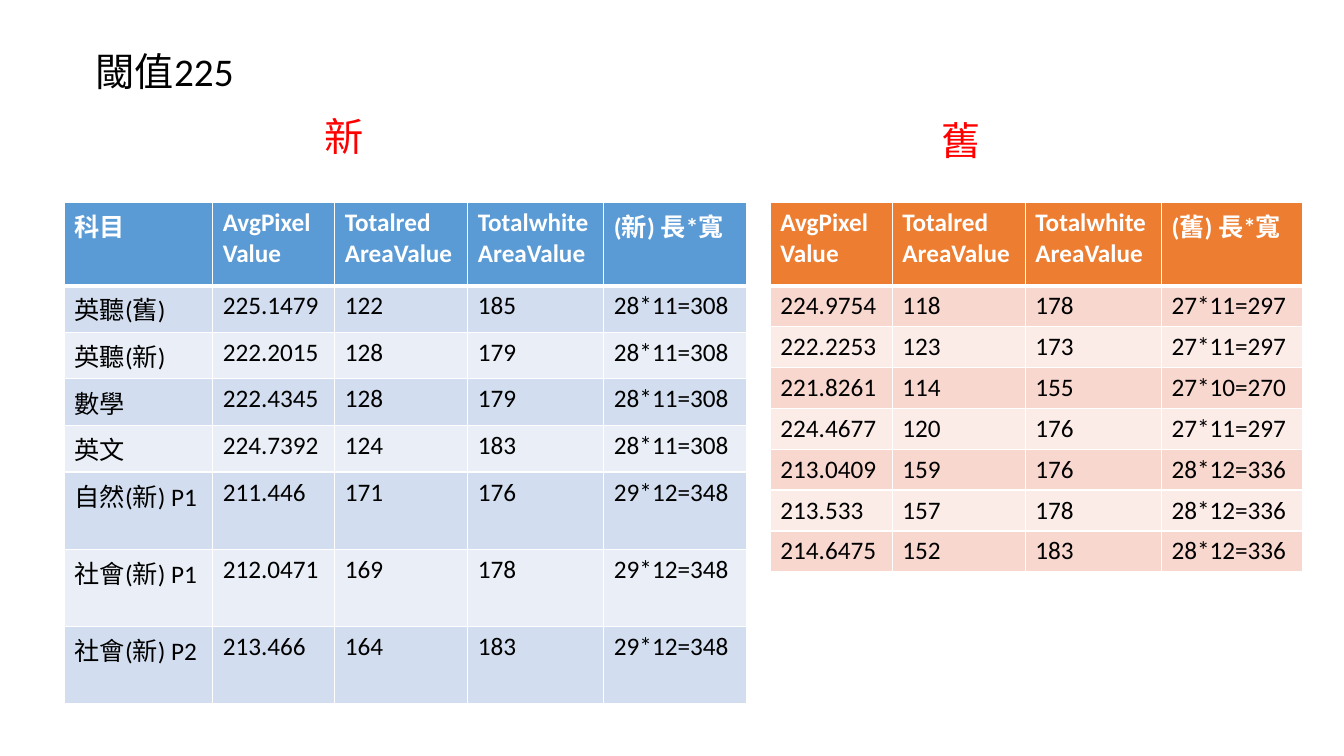
from lxml.etree import SubElement
from pptx import Presentation
from pptx.dml.color import RGBColor
from pptx.enum.lang import MSO_LANGUAGE_ID
from pptx.enum.text import MSO_ANCHOR, MSO_AUTO_SIZE, PP_ALIGN
from pptx.oxml.ns import qn
from pptx.util import Inches, Pt

COLORS = {
    "white": "FFFFFF", "black": "000000", "red": "FF0000",
    "blue": "5B9BD5", "blue_dark": "D2DEEF", "blue_light": "EAEFF7",
    "orange": "ED7D31", "orange_dark": "F8D7CE", "orange_light": "FCECE8",
}
FONT = "Calibri"

NEW_WIDTHS = [1.47, 1.21, 1.32, 1.35, 1.42]
NEW_ROWS = [
    ["科目", "AvgPixel\vValue", "Totalred\nAreaValue", "Totalwhite\vAreaValue", "(新) 長*寬"],
    ["英聽(舊)", "225.1479", "122", "185", "28*11=308"],
    ["英聽(新)", "222.2015", "128", "179", "28*11=308"],
    ["數學", "222.4345", "128", "179", "28*11=308"],
    ["英文", "224.7392", "124", "183", "28*11=308"],
    ["自然(新) P1", "211.446", "171", "176", "29*12=348"],
    ["社會(新) P1", "212.0471", "169", "178", "29*12=348"],
    ["社會(新) P2", "213.466", "164", "183", "29*12=348"],
]
OLD_WIDTHS = [1.21, 1.32, 1.35, 1.4]
OLD_ROWS = [
    ["AvgPixel\vValue", "Totalred\vAreaValue", "Totalwhite\vAreaValue", "(舊) 長*寬"],
    ["224.9754", "118", "178", "27*11=297"],
    ["222.2253", "123", "173", "27*11=297"],
    ["221.8261", "114", "155", "27*10=270"],
    ["224.4677", "120", "176", "27*11=297"],
    ["213.0409", "159", "176", "28*12=336"],
    ["213.533", "157", "178", "28*12=336"],
    ["214.6475", "152", "183", "28*12=336"],
]


def rgb(name):
    return RGBColor.from_string(COLORS[name])


def format_runs(tf, size, color, bold=False):
    for p in tf.paragraphs:
        for r in p.runs:
            r.font.name = FONT
            r.font.size = Pt(size)
            r.font.bold = bold
            r.font.color.rgb = rgb(color)
            r.font.language_id = MSO_LANGUAGE_ID.TRADITIONAL_CHINESE


def set_borders(cell, bottom):
    """White cell borders; they must come before the fill in the XML."""
    tc_pr = cell._tc.get_or_add_tcPr()
    for side, width in (("L", 1), ("R", 1), ("T", 1), ("B", bottom)):
        ln = SubElement(tc_pr, qn(f"a:ln{side}"), w=str(Pt(width)))
        fill = SubElement(ln, qn("a:solidFill"))
        SubElement(fill, qn("a:srgbClr"), val=COLORS["white"])


def add_values(slide, left, widths, rows, hue):
    frame = slide.shapes.add_table(len(rows), len(widths), Inches(left), Inches(2.01),
                                   Inches(sum(widths)), Inches(3.5))
    table = frame.table
    for column, width in zip(table.columns, widths):
        column.width = Inches(width)
    for i, values in enumerate(rows):
        table.rows[i].height = Inches(0.36)
        header = i == 0
        fill = hue if header else hue + ("_dark" if i % 2 else "_light")
        for j, value in enumerate(values):
            cell = table.cell(i, j)
            cell.text_frame.text = value
            format_runs(cell.text_frame, 18, "white" if header else "black", header)
            # The row above the header rule carries the thick line
            set_borders(cell, 3 if header else 1)
            cell.fill.solid()
            cell.fill.fore_color.rgb = rgb(fill)
    frame.height = Inches(3.5)
    return table


def format_heading(sp, text, left, top, color):
    sp.left, sp.top = Inches(left), Inches(top)
    sp.width, sp.height = Inches(2.68), Inches(0.64)
    tf = sp.text_frame
    tf.text = text
    tf.word_wrap = True
    tf.auto_size = MSO_AUTO_SIZE.NONE
    tf.vertical_anchor = MSO_ANCHOR.TOP
    p = tf.paragraphs[0]
    p.alignment = PP_ALIGN.LEFT
    p.line_spacing = 0.9
    p.space_before = Pt(10)
    format_runs(tf, 28, color)


def add_label(slide, text, left, top):
    sp = slide.shapes.add_textbox(0, 0, 0, 0)
    format_heading(sp, text, left, top, "red")


def main():
    prs = Presentation()
    prs.slide_width, prs.slide_height = Inches(13.33), Inches(7.5)
    slide = prs.slides.add_slide(prs.slide_layouts[5])

    # Tables of new and old values
    new_table = add_values(slide, 0.64, NEW_WIDTHS, NEW_ROWS, "blue")
    for i in range(1, 4):
        new_table.cell(i, 0).vertical_anchor = MSO_ANCHOR.MIDDLE
    add_values(slide, 7.64, OLD_WIDTHS, OLD_ROWS, "orange")

    # Title and table labels
    format_heading(slide.shapes.title, "閾值225", 0.85, 0.47, "black")
    add_label(slide, "新", 3.12, 1.12)
    add_label(slide, "舊", 9.24, 1.16)

    prs.save("out.pptx")


if __name__ == "__main__":
    main()
